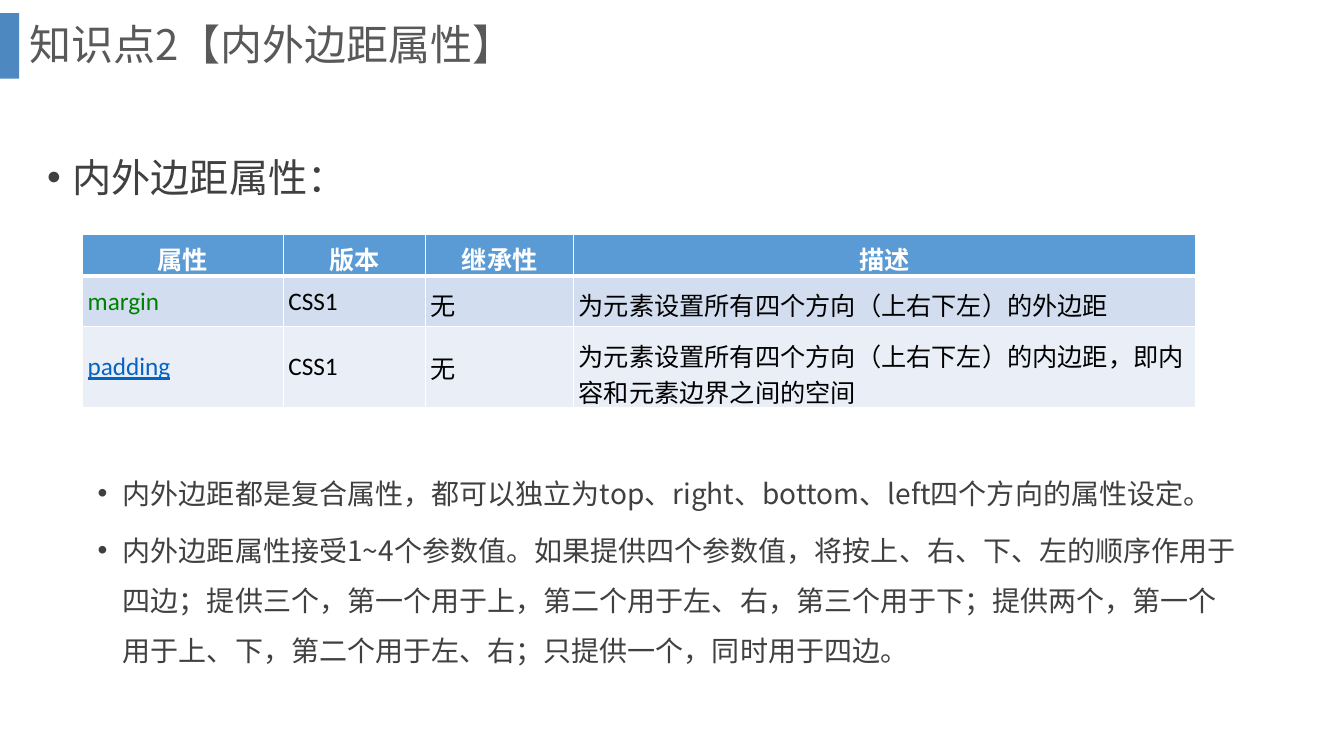
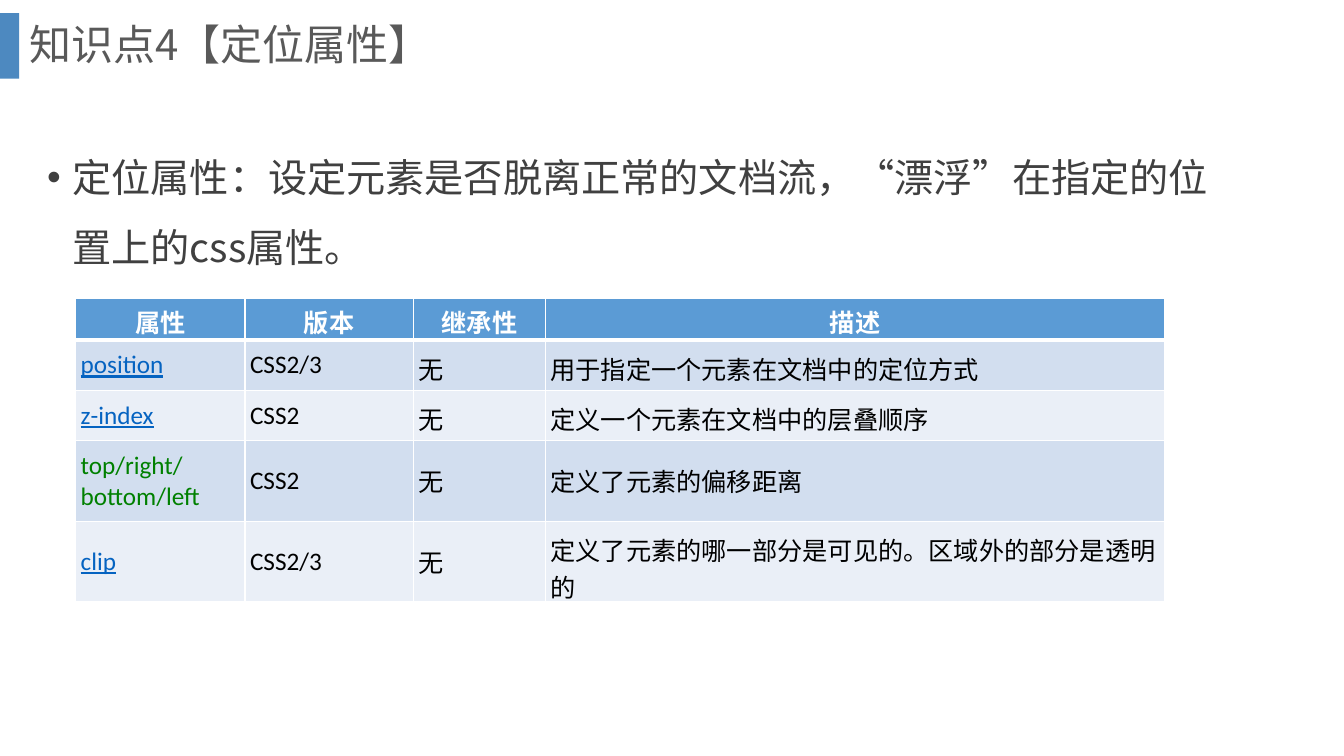
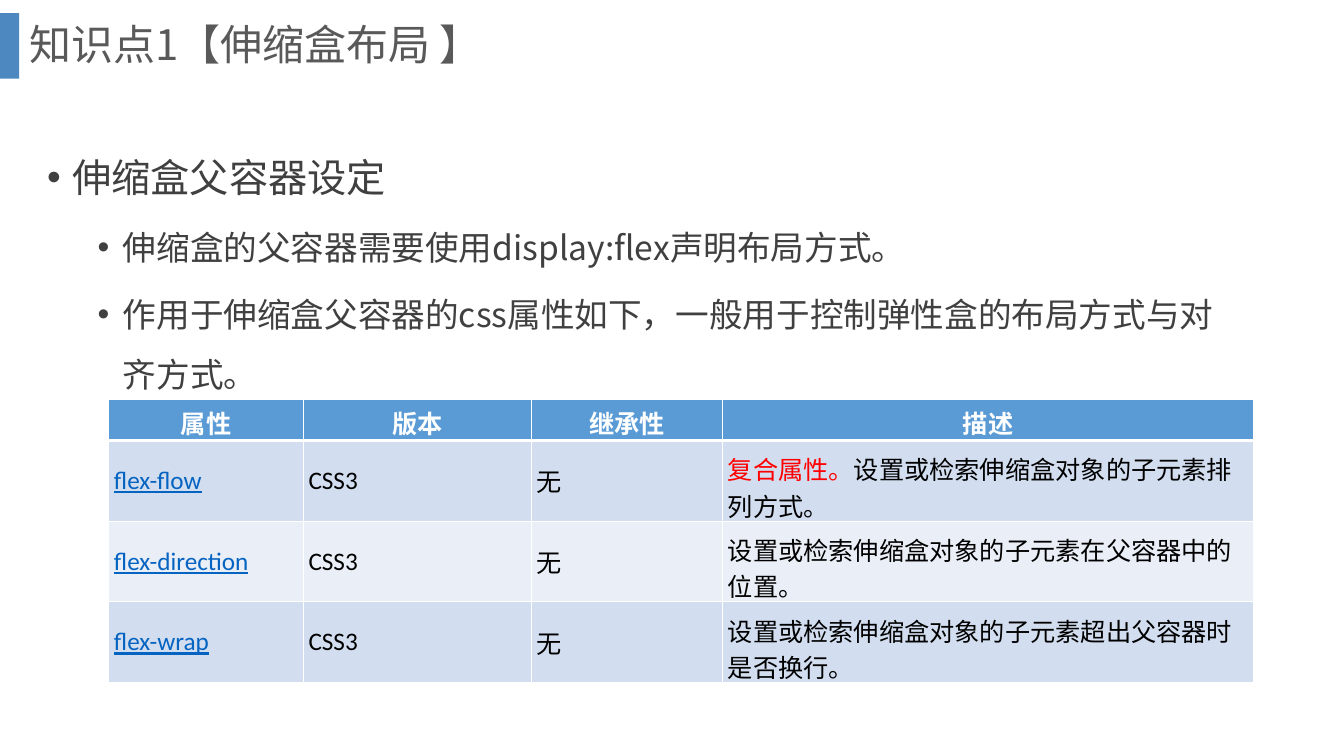
from dataclasses import dataclass

from lxml.etree import SubElement
from pptx import Presentation
from pptx.dml.color import RGBColor
from pptx.enum.shapes import MSO_SHAPE as Preset
from pptx.enum.text import MSO_ANCHOR as Anchor, PP_ALIGN as Align
from pptx.oxml.ns import qn
from pptx.util import Emu, Inches, Pt

WIDTH, HEIGHT = Inches(13.33), Inches(7.5)
HAN, LATIN = "Noto Sans CJK SC", "Calibri"
BAND, TITLE, BODY = "2E75B6", "595959", "404040"
HEADER, STRIPES = "5B9BD5", ("D2DEEF", "EAEFF7")
WHITE, BLACK, GREEN, LINK, RED = "FFFFFF", "000000", "008000", "0563C1", "FF0000"
HEADINGS = ("属性", "版本", "继承性", "描述")
LINE_RATIO = 1.79
ROW_HEIGHT = 5.47


@dataclass(frozen=True)
class Area:
    left: float
    top: float
    width: float
    height: float

    def emu(self) -> tuple[Emu, Emu, Emu, Emu]:
        return across(self.left), down(self.top), across(self.width), down(self.height)


@dataclass(frozen=True)
class Point:
    text: str
    size: int
    level: int = 0


@dataclass(frozen=True)
class Property:
    name: str
    version: str
    description: str
    linked: bool = True
    lead: str = ""


@dataclass(frozen=True)
class PropertyTable:
    left: float
    top: float
    columns: tuple[float, ...]
    properties: tuple[Property, ...]


@dataclass(frozen=True)
class PointList:
    top: float
    height: float
    points: tuple[Point, ...]


@dataclass(frozen=True)
class Lesson:
    title: str
    lists: tuple[PointList, ...]
    table: PropertyTable


LESSONS = (
    Lesson(
        "知识点2【内外边距属性】",
        (
            PointList(16.53, 12, (Point("内外边距属性：", 28),)),
            PointList(60.13, 30, (
                Point("内外边距都是复合属性，都可以独立为top、right、bottom、left四个方向的属性设定。", 20, 1),
                Point("内外边距属性接受1~4个参数值。如果提供四个参数值，将按上、右、下、左的顺序作用于四边；"
                      "提供三个，第一个用于上，第二个用于左、右，第三个用于下；"
                      "提供两个，第一个用于上、下，第二个用于左、右；只提供一个，同时用于四边。", 20, 1),
            )),
        ),
        PropertyTable(6.15, 31.07, (14.93, 10.58, 11.03, 46.29), (
            Property("margin", "CSS1", "为元素设置所有四个方向（上右下左）的外边距", linked=False),
            Property("padding", "CSS1", "为元素设置所有四个方向（上右下左）的内边距，即内容和元素边界之间的空间"),
        )),
    ),
    Lesson(
        "知识点4【定位属性】",
        (
            PointList(16.53, 22, (
                Point("定位属性：设定元素是否脱离正常的文档流，“漂浮”在指定的位置上的css属性。", 28),
            )),
        ),
        PropertyTable(5.63, 39.47, (12.6, 12.53, 9.83, 46.06), (
            Property("position", "CSS2/3", "用于指定一个元素在文档中的定位方式"),
            Property("z-index", "CSS2", "定义一个元素在文档中的层叠顺序"),
            Property("top/right/bottom/left", "CSS2", "定义了元素的偏移距离", linked=False),
            Property("clip", "CSS2/3", "定义了元素的哪一部分是可见的。区域外的部分是透明的"),
        )),
    ),
    Lesson(
        "知识点1【伸缩盒布局 】",
        (
            PointList(16.53, 36, (
                Point("伸缩盒父容器设定", 28),
                Point("伸缩盒的父容器需要使用display:flex声明布局方式。", 24, 1),
                Point("作用于伸缩盒父容器的css属性如下，一般用于控制弹性盒的布局方式与对齐方式。", 24, 1),
            )),
        ),
        PropertyTable(8.1, 52.8, (14.48, 16.96, 14.25, 39.46), (
            Property("flex-flow", "CSS3", "设置或检索伸缩盒对象的子元素排列方式。", lead="复合属性。"),
            Property("flex-direction", "CSS3", "设置或检索伸缩盒对象的子元素在父容器中的位置。"),
            Property("flex-wrap", "CSS3", "设置或检索伸缩盒对象的子元素超出父容器时是否换行。"),
        )),
    ),
)


def across(percent: float) -> Emu:
    return Emu(round(WIDTH * percent / 100))


def down(percent: float) -> Emu:
    return Emu(round(HEIGHT * percent / 100))


def paint(color_format, color: str) -> None:
    color_format.rgb = RGBColor.from_string(color)


def add_run(paragraph, text: str, size: float, color: str, latin: str = HAN,
            bold: bool = False, underline: bool = False) -> None:
    run = paragraph.add_run()
    run.text = text
    font = run.font
    font.size, font.name, font.bold, font.underline = Pt(size), latin, bold, underline
    font.fill.solid()
    paint(font.fill.fore_color, color)
    SubElement(run._r.get_or_add_rPr(), qn("a:ea"), typeface=HAN)


def add_band(slide) -> None:
    band = slide.shapes.add_shape(Preset.RECTANGLE, *Area(0, 1.73, 1.43, 8.67).emu())
    band.shadow.inherit = False
    band.line.fill.background()
    band.fill.solid()
    paint(band.fill.fore_color, BAND)
    tint = band.fill._xPr.find(qn("a:solidFill"))[0]
    SubElement(tint, qn("a:alpha"), val="85000")


def add_title(slide, title: str) -> None:
    frame = slide.shapes.add_textbox(*Area(1.43, 0, 94.98, 12.4).emu()).text_frame
    frame.word_wrap = True
    frame.vertical_anchor = Anchor.MIDDLE
    heading = frame.paragraphs[0]
    heading.line_spacing = 0.9
    add_run(heading, title, 30, TITLE)


def add_points(slide, listing: PointList) -> None:
    area = Area(2.78, listing.top, 90.4, listing.height)
    frame = slide.shapes.add_textbox(*area.emu()).text_frame
    frame.word_wrap = True
    for index, point in enumerate(listing.points):
        paragraph = frame.paragraphs[0] if index == 0 else frame.add_paragraph()
        paragraph.line_spacing = Pt(round(point.size * LINE_RATIO, 1))
        if index:
            paragraph.space_before = Pt(5 if point.level else 10)
        paragraph.level = point.level
        properties = paragraph._p.get_or_add_pPr()
        properties.set("marL", str(Inches(0.25 + 0.5 * point.level)))
        properties.set("indent", str(Inches(-0.25)))
        SubElement(properties, qn("a:buFont"), typeface="Arial")
        SubElement(properties, qn("a:buChar"), char="•")
        add_run(paragraph, point.text, point.size, BODY)


def style_cell(cell, fill: str, padding: float, bottom: float):
    cell.vertical_anchor = Anchor.MIDDLE
    cell.margin_left = cell.margin_right = Inches(0.05)
    cell.margin_top = cell.margin_bottom = Inches(padding)
    borders = cell._tc.get_or_add_tcPr()
    for side, points in (("L", 1), ("R", 1), ("T", 1), ("B", bottom)):
        border = SubElement(borders, qn(f"a:ln{side}"), w=str(Pt(points)))
        SubElement(SubElement(border, qn("a:solidFill")), qn("a:srgbClr"), val=WHITE)
    cell.fill.solid()
    paint(cell.fill.fore_color, fill)
    return cell.text_frame.paragraphs[0]


def add_table(slide, plan: PropertyTable) -> None:
    count = len(plan.properties) + 1
    area = Area(plan.left, plan.top, sum(plan.columns), ROW_HEIGHT * count)
    table = slide.shapes.add_table(count, len(HEADINGS), *area.emu()).table
    for column, width in zip(table.columns, plan.columns):
        column.width = across(width)
    for column, heading in enumerate(HEADINGS):
        paragraph = style_cell(table.cell(0, column), HEADER, 0.05, 3)
        paragraph.alignment = Align.CENTER
        add_run(paragraph, heading, 18, WHITE, LATIN, bold=True)
    for row, entry in enumerate(plan.properties, 1):
        fill = STRIPES[(row - 1) % 2]
        name, version, inherited, description = (
            style_cell(table.cell(row, column), fill, 0.1, 1) for column in range(len(HEADINGS))
        )
        add_run(name, entry.name, 18, LINK if entry.linked else GREEN, LATIN, underline=entry.linked)
        add_run(version, entry.version, 18, BLACK, LATIN)
        add_run(inherited, "无", 18, BLACK, LATIN)
        if entry.lead:
            add_run(description, entry.lead, 18, RED, LATIN)
        add_run(description, entry.description, 18, BLACK, LATIN)


def main() -> None:
    deck = Presentation()
    deck.slide_width, deck.slide_height = WIDTH, HEIGHT
    for lesson in LESSONS:
        slide = deck.slides.add_slide(deck.slide_layouts[6])
        add_band(slide)
        for listing in lesson.lists:
            add_points(slide, listing)
        add_title(slide, lesson.title)
        add_table(slide, lesson.table)
    deck.save("out.pptx")


if __name__ == "__main__":
    main()
